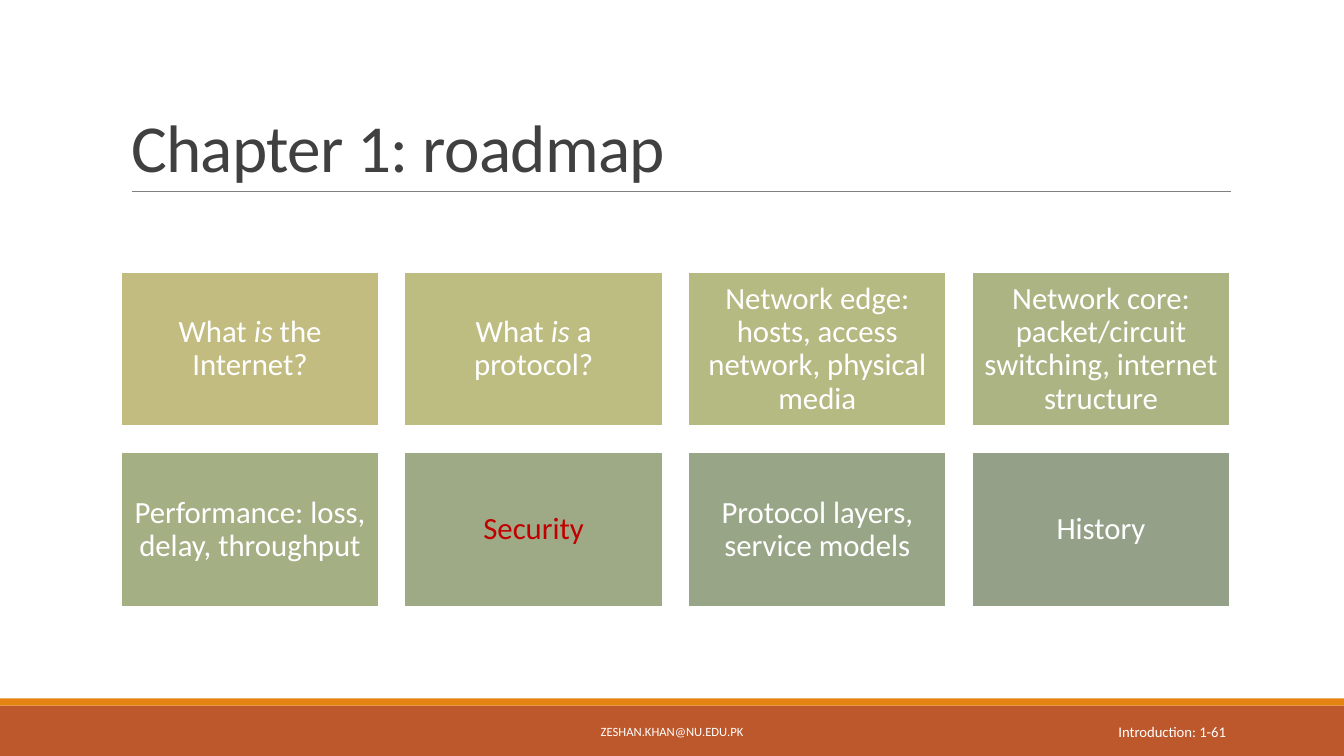
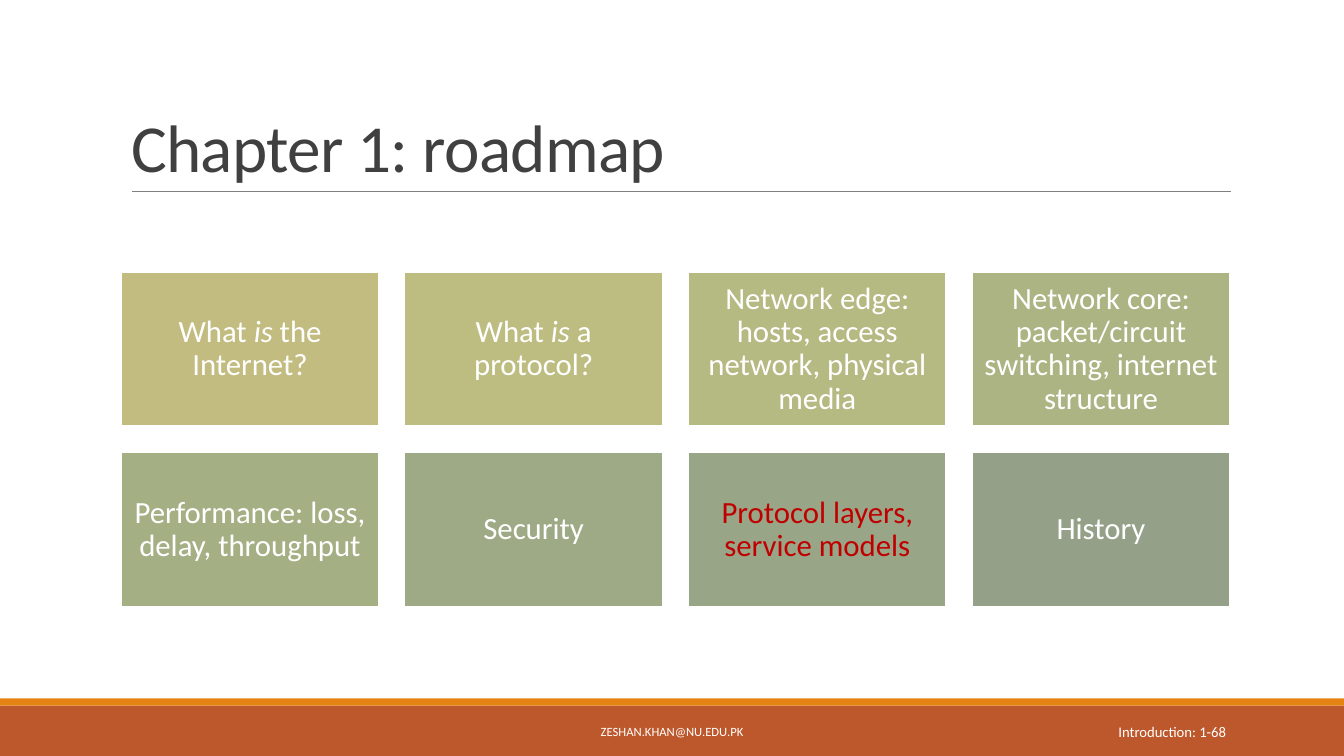
from dataclasses import dataclass
from typing import NamedTuple

import pptx
import pptx.dml.color
import pptx.enum.shapes
import pptx.enum.text
import pptx.oxml
import pptx.oxml.ns
import pptx.presentation
import pptx.shapes.autoshape
import pptx.slide
import pptx.text.text
import pptx.util
from pptx.dml.color import RGBColor
from pptx.enum.text import MSO_ANCHOR, PP_ALIGN
from pptx.util import Inches

WHITE = RGBColor(0xFF, 0xFF, 0xFF)
TITLE_GRAY = RGBColor(0x40, 0x40, 0x40)
RULE_GRAY = RGBColor(0x80, 0x80, 0x80)
RUST = RGBColor(0xBD, 0x58, 0x2C)
ORANGE = RGBColor(0xE4, 0x83, 0x12)
HIGHLIGHT_RED = RGBColor(0xC0, 0x00, 0x00)

FONT = "Calibri"
TITLE_ONLY_LAYOUT = 5
SLIDE_WIDTH, SLIDE_HEIGHT = 13.33, 7.5
CONTENT_LEFT, CONTENT_WIDTH = 1.2, 11.0
TITLE_TOP, TITLE_HEIGHT = 0.31, 1.59
RULE_LEFT, RULE_RIGHT, RULE_TOP = 1.31, 12.21, 1.9

COLUMNS = 4
TILE_TOP, TILE_WIDTH, TILE_HEIGHT = 2.7, 2.56, 1.53
ROW_GAP = 0.26
COLUMN_GAP = (CONTENT_WIDTH - COLUMNS * TILE_WIDTH) / (COLUMNS - 1)


class Run(NamedTuple):
    text: str
    italic: bool = False


class Box(NamedTuple):
    left: float
    top: float
    width: float
    height: float

    def lengths(self) -> tuple[pptx.util.Length, ...]:
        return tuple(Inches(value) for value in self)


@dataclass(frozen=True)
class Topic:
    runs: tuple[Run, ...]
    fill: RGBColor


@dataclass(frozen=True)
class Roadmap:
    current_topic: int
    page: int


BANDS = (
    (Box(0, 7, SLIDE_WIDTH, 0.5), RUST),
    (Box(0, 6.93, SLIDE_WIDTH, 0.07), ORANGE),
)
FOOTER_BOX = Box(4.03, 7.06, 5.27, 0.4)
PAGE_BOX = Box(10.83, 7.06, 1.43, 0.4)

TOPICS = (
    Topic((Run("What "), Run("is", True), Run(" the Internet?")), RGBColor(0xC2, 0xBC, 0x80)),
    Topic((Run("What"), Run(" is ", True), Run("a protocol?")), RGBColor(0xBE, 0xBD, 0x81)),
    Topic((Run("Network edge: hosts, access network, physical media"),), RGBColor(0xB5, 0xB9, 0x82)),
    Topic((Run("Network core: packet/circuit switching, internet structure"),), RGBColor(0xAC, 0xB4, 0x83)),
    Topic((Run("Performance: loss, delay, throughput"),), RGBColor(0xA5, 0xAF, 0x84)),
    Topic((Run("Security"),), RGBColor(0x9E, 0xAA, 0x85)),
    Topic((Run("Protocol layers, service models"),), RGBColor(0x98, 0xA5, 0x86)),
    Topic((Run("History"),), RGBColor(0x94, 0xA0, 0x88)),
)
SECURITY, PROTOCOL_LAYERS = 5, 6
ROADMAPS = (Roadmap(SECURITY, 61), Roadmap(PROTOCOL_LAYERS, 68))


def write_text(
    frame: pptx.text.text.TextFrame,
    runs: tuple[Run, ...],
    *,
    size: float,
    color: RGBColor = WHITE,
    align: PP_ALIGN = PP_ALIGN.LEFT,
    anchor: MSO_ANCHOR = MSO_ANCHOR.MIDDLE,
    line_spacing: float = 1.0,
    margins: tuple[float, float] = (0.1, 0.05),
) -> None:
    frame.word_wrap = True
    frame.auto_size = pptx.enum.text.MSO_AUTO_SIZE.NONE
    frame.vertical_anchor = anchor
    frame.margin_left = frame.margin_right = Inches(margins[0])
    frame.margin_top = frame.margin_bottom = Inches(margins[1])
    paragraph = frame.paragraphs[0]
    paragraph.alignment = align
    paragraph.line_spacing = line_spacing
    for text, italic in runs:
        run = paragraph.add_run()
        run.text = text
        run.font.name = FONT
        run.font.size = pptx.util.Pt(size)
        run.font.italic = italic
        run.font.color.rgb = color


def add_rectangle(slide: pptx.slide.Slide, box: Box, fill: RGBColor) -> pptx.shapes.autoshape.Shape:
    rectangle = slide.shapes.add_shape(pptx.enum.shapes.MSO_SHAPE.RECTANGLE, *box.lengths())
    rectangle.shadow.inherit = False
    rectangle.fill.solid()
    rectangle.fill.fore_color.rgb = fill
    rectangle.line.fill.background()
    return rectangle


def add_rule(slide: pptx.slide.Slide) -> None:
    rule = slide.shapes.add_connector(
        pptx.enum.shapes.MSO_CONNECTOR.STRAIGHT,
        Inches(RULE_LEFT), Inches(RULE_TOP), Inches(RULE_RIGHT), Inches(RULE_TOP),
    )
    rule.line.color.rgb = RULE_GRAY
    rule.line.width = pptx.util.Pt(0.5)
    rule.element.spPr.append(pptx.oxml.parse_xml(f"<a:effectLst {pptx.oxml.ns.nsdecls('a')}/>"))


def add_title(slide: pptx.slide.Slide, text: str) -> None:
    title = slide.shapes.title
    box = Box(CONTENT_LEFT, TITLE_TOP, CONTENT_WIDTH, TITLE_HEIGHT)
    title.left, title.top, title.width, title.height = box.lengths()
    write_text(title.text_frame, (Run(text),), size=48, color=TITLE_GRAY,
               anchor=MSO_ANCHOR.BOTTOM, line_spacing=0.85)
    for properties in title.element.iter(pptx.oxml.ns.qn("a:rPr")):
        properties.set("spc", "-50")


def add_label(slide: pptx.slide.Slide, box: Box, text: str, size: float, align: PP_ALIGN) -> None:
    label = slide.shapes.add_textbox(*box.lengths())
    write_text(label.text_frame, (Run(text),), size=size, align=align)


def add_tile(slide: pptx.slide.Slide, index: int, topic: Topic, color: RGBColor) -> None:
    row, column = divmod(index, COLUMNS)
    box = Box(
        CONTENT_LEFT + column * (TILE_WIDTH + COLUMN_GAP),
        TILE_TOP + row * (TILE_HEIGHT + ROW_GAP),
        TILE_WIDTH,
        TILE_HEIGHT,
    )
    tile = add_rectangle(slide, box, topic.fill)
    tile.line.color.rgb = WHITE
    tile.line.width = pptx.util.Pt(1.25)
    write_text(tile.text_frame, topic.runs, size=22, color=color, align=PP_ALIGN.CENTER,
               line_spacing=0.9, margins=(0.09, 0.09))


def add_roadmap(presentation: pptx.presentation.Presentation, roadmap: Roadmap) -> None:
    slide = presentation.slides.add_slide(presentation.slide_layouts[TITLE_ONLY_LAYOUT])
    for box, fill in BANDS:
        add_rectangle(slide, box, fill)
    add_rule(slide)
    add_title(slide, "Chapter 1: roadmap")
    for index, topic in enumerate(TOPICS):
        add_tile(slide, index, topic, HIGHLIGHT_RED if index == roadmap.current_topic else WHITE)
    add_label(slide, FOOTER_BOX, "ZESHAN.KHAN@NU.EDU.PK", 9, PP_ALIGN.CENTER)
    add_label(slide, PAGE_BOX, f"Introduction: 1-{roadmap.page}", 10.5, PP_ALIGN.RIGHT)


def main() -> None:
    presentation = pptx.Presentation()
    presentation.slide_width = Inches(SLIDE_WIDTH)
    presentation.slide_height = Inches(SLIDE_HEIGHT)
    for roadmap in ROADMAPS:
        add_roadmap(presentation, roadmap)
    presentation.save("out.pptx")


if __name__ == "__main__":
    main()
